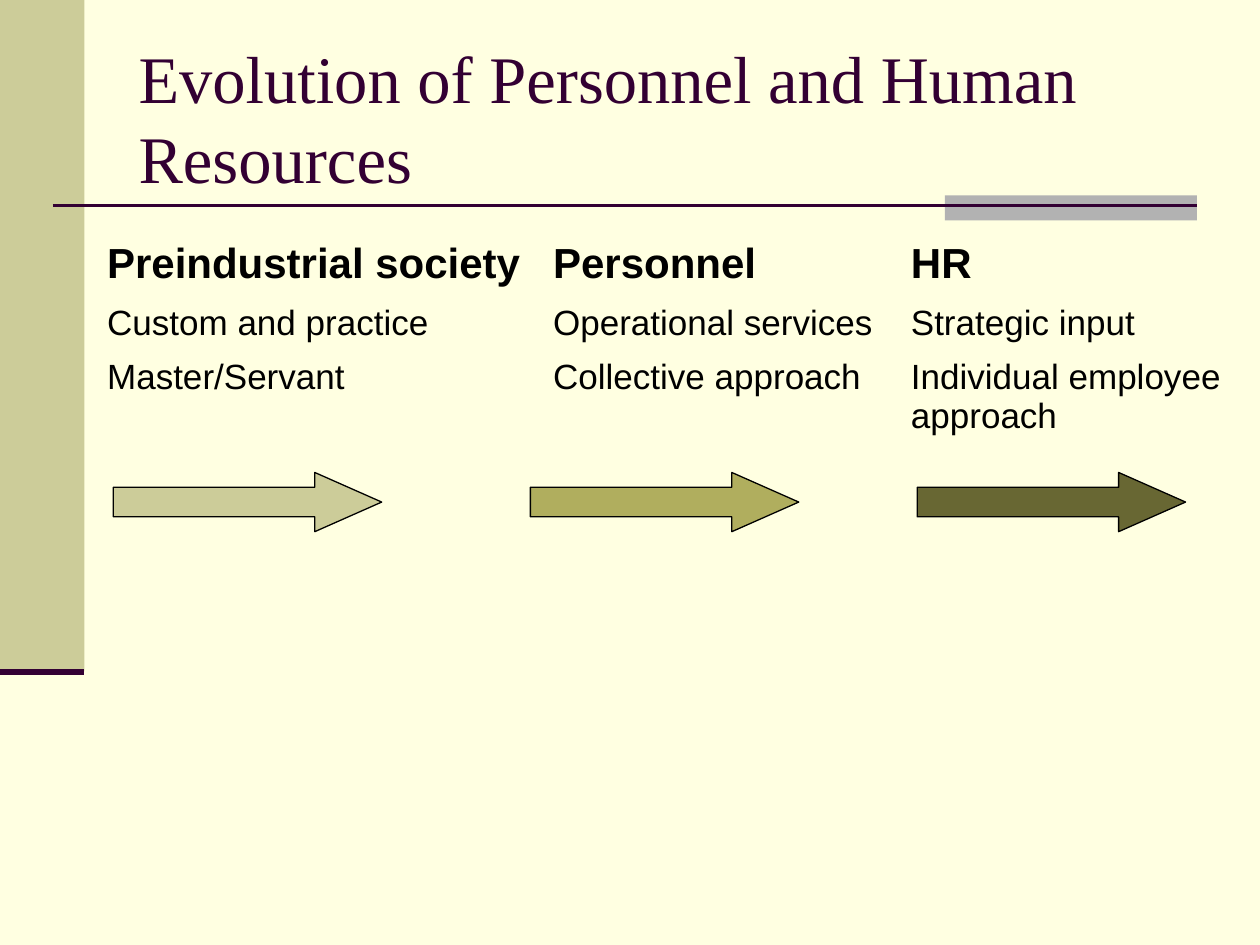
from lxml.etree import SubElement
from pptx import Presentation
from pptx.dml.color import RGBColor
from pptx.enum.shapes import MSO_CONNECTOR, MSO_SHAPE
from pptx.enum.text import MSO_ANCHOR, MSO_AUTO_SIZE, PP_ALIGN
from pptx.oxml.ns import qn
from pptx.util import Inches, Pt

CREAM = RGBColor(0xFF, 0xFF, 0xE1)
SAND = RGBColor(0xCC, 0xCC, 0x99)
OLIVE = RGBColor(0xB0, 0xAE, 0x5E)
DARK_OLIVE = RGBColor(0x68, 0x67, 0x33)
GRAY = RGBColor(0xB2, 0xB2, 0xB2)
PLUM = RGBColor(0x33, 0x00, 0x33)
BLACK = RGBColor(0, 0, 0)

STAGES = [
    ("Preindustrial society", "Custom and practice", "Master/Servant"),
    ("Personnel", "Operational services", "Collective approach"),
    ("HR", "Strategic input", "Individual employee approach"),
]
COLUMN_WIDTHS = (3.54, 2.84, 2.68)
ROW_HEIGHTS = (0.5, 0.43, 0.77)
ARROWS = [(0.9, SAND), (4.21, OLIVE), (7.28, DARK_OLIVE)]


def add_panel(page, left, top, width, height, color):
    panel = page.shapes.add_shape(
        MSO_SHAPE.RECTANGLE, Inches(left), Inches(top), Inches(width), Inches(height))
    panel.shadow.inherit = False
    panel.fill.solid()
    panel.fill.fore_color.rgb = color
    panel.line.fill.background()


def add_rule(page, left, right, y, weight):
    rule = page.shapes.add_connector(
        MSO_CONNECTOR.STRAIGHT, Inches(left), Inches(y), Inches(right), Inches(y))
    rule.line.color.rgb = PLUM
    rule.line.width = Pt(weight)
    SubElement(rule.element.spPr, qn("a:effectLst"))


def add_decoration(page):
    add_panel(page, 0, 0, 0.67, 5.33, SAND)
    add_panel(page, 7.5, 1.55, 2, 0.2, GRAY)
    add_rule(page, 0.42, 9.5, 1.63, 1.5)
    add_rule(page, 0, 0.67, 5.33, 3.5)


def fill_title(page, left, top, width, height):
    title = page.shapes.title
    title.left, title.top = Inches(left), Inches(top)
    title.width, title.height = Inches(width), Inches(height)
    frame = title.text_frame
    frame.text = "Evolution of Personnel and Human Resources"
    frame.word_wrap = True
    frame.auto_size = MSO_AUTO_SIZE.NONE
    frame.vertical_anchor = MSO_ANCHOR.MIDDLE
    para = frame.paragraphs[0]
    para.alignment = PP_ALIGN.LEFT
    para.font.name = "Times New Roman"
    para.font.size = Pt(38)
    para.font.color.rgb = PLUM


def clear_cell(cell):
    """Remove the borders and fill of the table style."""
    properties = cell._tc.get_or_add_tcPr()
    for side in ("lnL", "lnR", "lnT", "lnB"):
        SubElement(SubElement(properties, qn(f"a:{side}")), qn("a:noFill"))
    cell.fill.background()


def add_stage_table(page, left, top):
    frame = page.shapes.add_table(
        len(ROW_HEIGHTS), len(STAGES), Inches(left), Inches(top),
        Inches(sum(COLUMN_WIDTHS)), Inches(sum(ROW_HEIGHTS)))
    table = frame.table
    table.horz_banding = False
    for column, width in zip(table.columns, COLUMN_WIDTHS):
        column.width = Inches(width)
    for row, height in zip(table.rows, ROW_HEIGHTS):
        row.height = Inches(height)
    for column_index, stage in enumerate(STAGES):
        for row_index, text in enumerate(stage):
            is_heading = row_index == 0
            cell = table.cell(row_index, column_index)
            clear_cell(cell)
            cell.text = text
            font = cell.text_frame.paragraphs[0].font
            font.name = "Arial"
            font.size = Pt(24 if is_heading else 20)
            font.bold = is_heading
            font.color.rgb = BLACK


def add_arrows(page, top, width, height):
    for left, color in ARROWS:
        arrow = page.shapes.add_shape(
            MSO_SHAPE.RIGHT_ARROW, Inches(left), Inches(top), Inches(width), Inches(height))
        arrow.adjustments[0] = 0.5
        arrow.adjustments[1] = 1.13
        arrow.shadow.inherit = False
        arrow.fill.solid()
        arrow.fill.fore_color.rgb = color
        arrow.line.color.rgb = BLACK
        arrow.line.width = Pt(0.75)


def main():
    deck = Presentation()
    deck.slide_width, deck.slide_height = Inches(10), Inches(7.5)
    page = deck.slides.add_slide(deck.slide_layouts.get_by_name("Title Only"))
    page.background.fill.solid()
    page.background.fill.fore_color.rgb = CREAM
    add_decoration(page)
    fill_title(page, 1, 0.3, 8.5, 1.25)
    add_stage_table(page, 0.75, 1.86)
    add_arrows(page, 3.75, 2.13, 0.47)
    deck.save("out.pptx")


if __name__ == "__main__":
    main()
